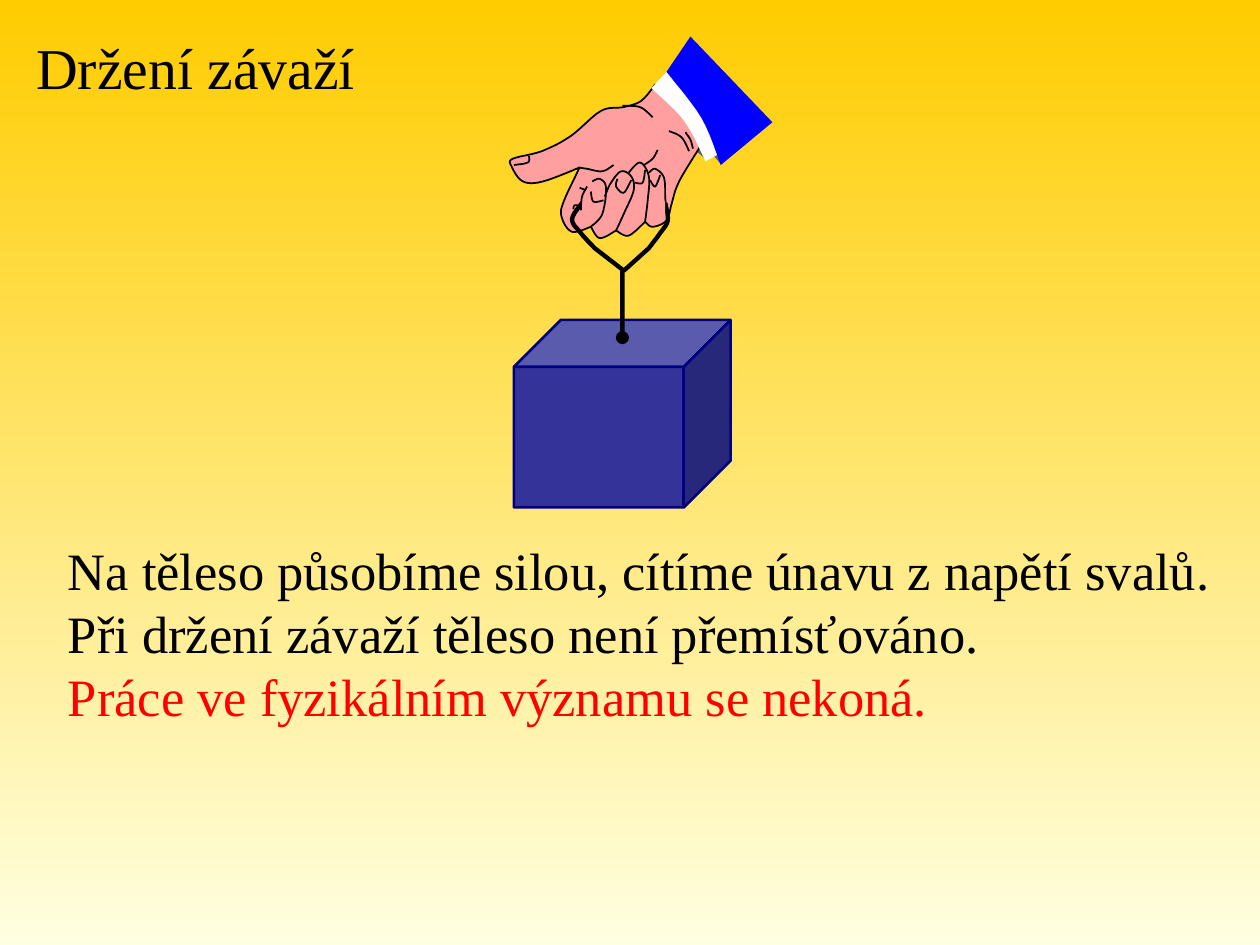
"""Build a slide about holding a weight: a hand, a cube on a rope, and the explanation."""
from lxml.etree import SubElement
from pptx import Presentation
from pptx.dml.color import RGBColor as Rgb
from pptx.enum.shapes import MSO_SHAPE as Preset
from pptx.enum.text import MSO_AUTO_SIZE as AutoSize
from pptx.oxml.ns import qn
from pptx.util import Cm, Pt

COLORS = {"sky": "FFCC00", "ground": "FFFFE1", "black": "000000", "red": "FF0000",
          "shade": "5F5F5F", "skin": "FF9F9F", "cuff": "FFFFFF", "sleeve": "0000FF",
          "cube": "333399", "edge": "000080"}
TEXTS = [
    ((0.48, 0.51, 6.96, 1.65), 33, [("Držení závaží", "black")]),
    ((1.12, 10.72, 23.55, 4.06), 30, [
        ("Na těleso působíme silou, cítíme únavu z napětí svalů.", "black"),
        ("Při držení závaží těleso není přemísťováno.", "black"),
        ("Práce ve fyzikálním významu se nekoná.", "red")]),
]
STYLES = {
    "shade": ("shade", None, 0), "hand": ("skin", "black", 1), "crease": (None, "black", 1),
    "cuff": ("cuff", None, 0), "sleeve": ("sleeve", None, 0), "cube": ("cube", "edge", 1.5),
    "hook": (None, "black", 2.5), "rope": (None, "black", 2.5), "patch": ("skin", None, 0),
}
PRESETS = {"cube": Preset.CUBE, "patch": Preset.RECTANGLE}
FINENESS = 10
UNIT = Cm(2.54) / 100 / FINENESS
ARC_STEPS = 6

HAND = [
    [(520, 67), (509, 80), (495, 85), (477, 88), (453, 108), (430, 120), (407, 126),
     (406, 132), (415, 144), (431, 144), (460, 133)],
    [(460, 133), (447, 161), (446, 173), (454, 184), (469, 180)],
    [(469, 180), (476, 189), (489, 183)],
    [(489, 183), (499, 187), (512, 176)],
    [(512, 176), (518, 180), (529, 175), (533, 162), (539, 144), (557, 114), (559, 107)],
]
CREASES = [
    [(480, 156), (485, 145), (493, 136), (501, 140), (503, 151), (495, 170), (489, 183)],
    [(470, 144), (476, 142), (481, 149), (478, 170), (469, 180)],
    [(499, 137), (508, 129), (515, 140), (514, 160), (512, 176)],
    [(460, 163), (456, 163), (455, 166)],
    [(465, 151), (460, 149)],
    [(469, 152), (471, 160), (479, 159)],
    [(490, 142), (489, 148), (495, 153), (501, 143)],
    [(512, 135), (510, 145), (504, 145)],
    [(524, 139), (520, 148), (516, 143)],
    [(487, 131), (478, 136), (466, 134), (459, 133)],
    [(531, 104), (541, 109), (547, 120)],
    [(544, 105), (548, 111), (550, 118)],
    [(494, 84), (508, 85), (518, 93)],
    [(420, 124), (419, 129), (408, 131)],
    [(522, 119), (518, 126), (511, 131)],
]
CUFF = [[(531, 55)], [(517, 70), (543, 96), (560, 128)], [(573, 121), (551, 77), (531, 55)]]
SLEEVE = [[(548, 29)], [(613, 97)], [(572, 131), (557, 94), (529, 57)]]
ROPE = [[(494, 268)], [(494, 214)], [(472, 197), (461, 185), (454, 174), (462, 161)]]
HOOK = [[(495, 215)], [(515, 197), (524, 185), (530, 175), (528, 161)]]
LITTLE_FINGER = [[(515, 137), (520, 134), (527, 141), (528, 157), (529, 168)]]
INDEX_FOLD = [[(466, 148), (462, 156), (461, 167)]]
DRAWING = [
    ("shade", [[(548, 116)], [(561, 127)], [(558, 112)]]),
    ("shade", [[(564, 121)], [(572, 130)], [(577, 120)]]),
    ("hand", HAND), *[("crease", [crease]) for crease in CREASES],
    ("cuff", CUFF), ("sleeve", SLEEVE), ("cube", (10.36, 6.45, 4.37, 3.78)),
    ("rope", ROPE), ("hook", HOOK), ("crease", LITTLE_FINGER),
    ("patch", (13.16, 4.06, 0.25, 0.25)), ("patch", (11.71, 4.04, 0.2, 0.25)),
    ("crease", INDEX_FOLD),
]


def rgb(name):
    return Rgb.from_string(COLORS[name])


def spline(a, b, c, d, t):
    return b + t / 2 * (c - a + t * (2 * a - 5 * b + 4 * c - d + t * (3 * (b - c) + d - a)))


def flatten(arcs):
    points = []
    for arc in arcs:
        points.append(arc[0])
        knots = [arc[0], *arc, arc[-1]]
        for window in zip(knots, knots[1:], knots[2:], knots[3:]):
            points += [tuple(spline(*axis, step / ARC_STEPS) for axis in zip(*window))
                       for step in range(1, ARC_STEPS + 1)]
    return [(x * FINENESS, y * FINENESS) for x, y in points]


def draw(shapes, style, geometry):
    fill, line, width = STYLES[style]
    if style in PRESETS:
        part = shapes.add_shape(PRESETS[style], *map(Cm, geometry))
    else:
        start, *rest = flatten(geometry)
        builder = shapes.build_freeform(*start, scale=UNIT)
        part = builder.add_line_segments(rest, close=fill is not None).convert_to_shape()
    part.shadow.inherit = False
    for paint, color in ((part.fill, fill), (part.line.fill, line)):
        if color:
            paint.solid()
            paint.fore_color.rgb = rgb(color)
        else:
            paint.background()
    if line:
        part.line.width = Pt(width)
    if style == "rope":
        SubElement(part.element.spPr.find(qn("a:ln")), qn("a:headEnd"), type="oval")


def write(shapes, box, size, lines):
    frame = shapes.add_textbox(*map(Cm, box)).text_frame
    for name, value in {"word_wrap": False, "auto_size": AutoSize.SHAPE_TO_FIT_TEXT}.items():
        setattr(frame, name, value)
    for i, (wording, color) in enumerate(lines):
        paragraph = frame.add_paragraph() if i else frame.paragraphs[0]
        run = paragraph.add_run()
        run.text = wording
        for name, value in {"name": "Times New Roman", "size": Pt(size)}.items():
            setattr(run.font, name, value)
        run.font.color.rgb = rgb(color)


def main():
    deck = Presentation()
    deck.slide_width, deck.slide_height = Cm(25.4), Cm(19.05)
    slide = deck.slides.add_slide(deck.slide_layouts[6])
    backdrop = slide.background.fill
    backdrop.gradient()
    backdrop.gradient_angle = 270
    for stop, color in zip(backdrop.gradient_stops, ("sky", "ground")):
        stop.color.rgb = rgb(color)
    for text in TEXTS:
        write(slide.shapes, *text)
    lifting = slide.shapes.add_group_shape().shapes
    for style, geometry in DRAWING:
        draw(lifting, style, geometry)
    deck.save("out.pptx")


if __name__ == "__main__":
    main()
